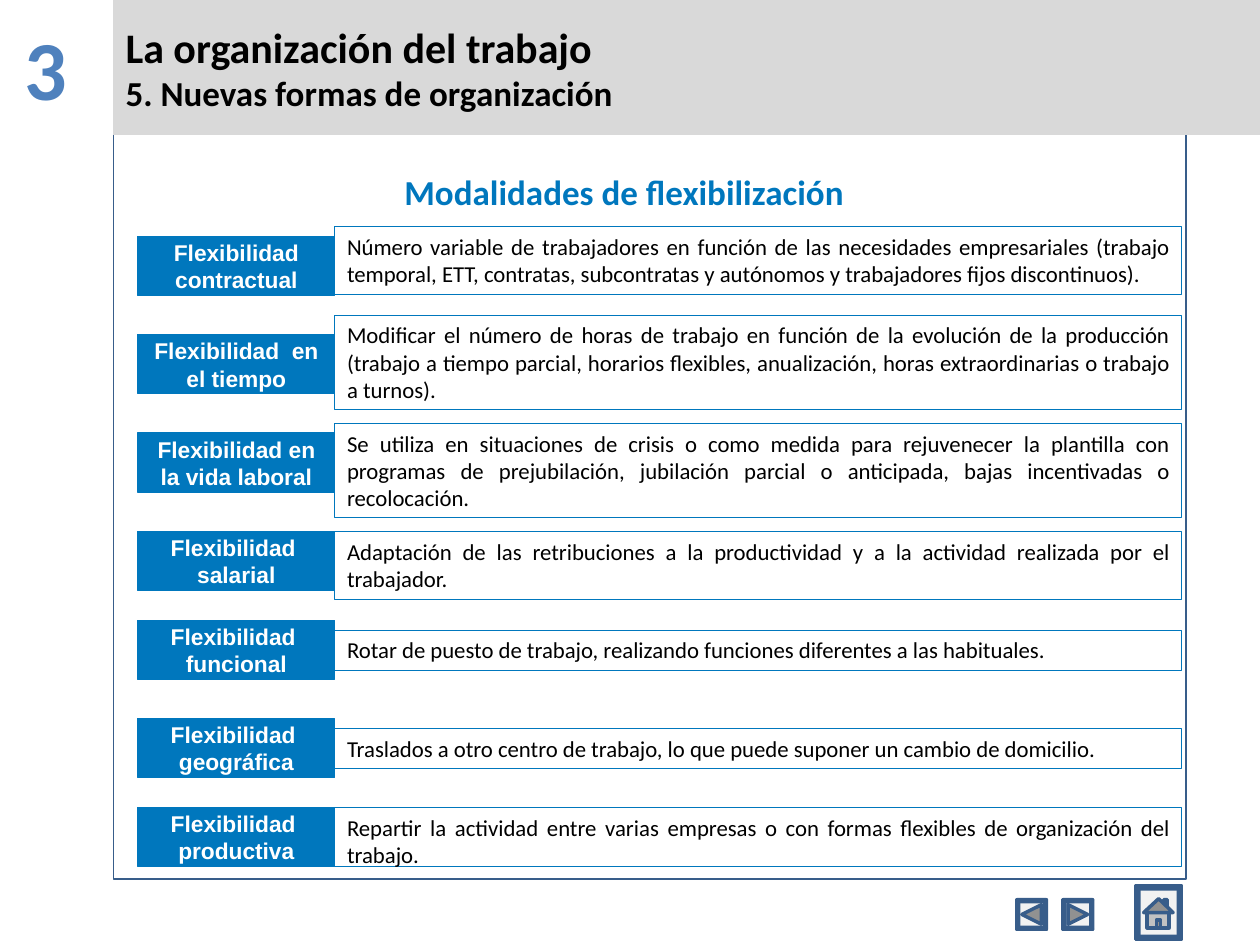
from dataclasses import dataclass
from typing import NamedTuple

from pptx import Presentation
from pptx import util as u
from pptx.dml.color import RGBColor
from pptx.enum import shapes, text

COLS, ROWS = 128, 96
CELL = 10 / COLS


@dataclass(frozen=True)
class Theme:
    blue: str = "0077BD"
    navy: str = "385D8A"
    digit: str = "4F81BD"
    band: str = "D9D9D9"
    face: str = "F2F2F2"
    mid: str = "919191"
    pale: str = "C2C2C2"
    black: str = "000000"
    white: str = "FFFFFF"
    sans: str = "Calibri"
    tag: str = "Arial"
    big: int = 48
    head: int = 24
    sub: int = 20
    body: int = 13


class Box(NamedTuple):
    """Left, top, width and height in grid cells."""
    x: float
    y: float
    w: float
    h: float


class Mode(NamedTuple):
    name: str
    row: float
    note: str
    top: float
    high: float
    just: bool = True


class Part(NamedTuple):
    """An icon outline in shares of its button."""
    fill: str
    pts: tuple


T = Theme()
ALIGN = text.PP_ALIGN
MODES = (
    Mode("Flexibilidad contractual", 24,
         "Número variable de trabajadores en función de las necesidades empresariales "
         "(trabajo temporal, ETT, contratas, subcontratas y autónomos y trabajadores "
         "fijos discontinuos).", 23, 6.9),
    Mode("Flexibilidad  en el tiempo", 34,
         "Modificar el número de horas de trabajo en función de la evolución de la "
         "producción (trabajo a tiempo parcial, horarios flexibles, anualización, horas "
         "extraordinarias o trabajo a turnos).", 32, 9.6),
    Mode("Flexibilidad en la vida laboral", 44,
         "Se utiliza en situaciones de crisis o como medida para rejuvenecer la plantilla "
         "con programas de prejubilación, jubilación parcial o anticipada, bajas "
         "incentivadas o recolocación.", 43, 9.6),
    Mode("Flexibilidad  salarial", 54,
         "Adaptación de las retribuciones a la productividad y a la actividad realizada "
         "por el trabajador.", 54, 6.9),
    Mode("Flexibilidad  funcional", 63,
         "Rotar de puesto de trabajo, realizando funciones diferentes a las habituales.",
         64, 4.1, False),
    Mode("Flexibilidad  geográfica", 73,
         "Traslados a otro centro de trabajo, lo que puede suponer un cambio de domicilio.",
         74, 4.1, False),
    Mode("Flexibilidad  productiva", 82,
         "Repartir la actividad entre varias empresas o con formas flexibles de "
         "organización del trabajo.", 82, 6),
)
BACK = (Part(T.mid, ((.17, .5), (.83, .17), (.83, .83))),)
NEXT = (Part(T.mid, ((.17, .17), (.83, .5), (.17, .83))),)
HOME = (
    Part(T.pale, ((.25, .5), (.73, .5), (.73, .79), (.25, .79))),
    Part(T.mid, ((.45, .64), (.54, .64), (.54, .79), (.45, .79))),
    Part(T.mid, ((.61, .26), (.69, .26), (.69, .4), (.61, .33))),
    Part(T.mid, ((.5, .24), (.82, .5), (.17, .5))),
)
BUTTONS = (
    (Box(103.3, 91.4, 3, 3), BACK),
    (Box(108, 91.4, 3, 3), NEXT),
    (Box(115.4, 90, 4.6, 5.4), HOME),
)


def cells(box: Box) -> list:
    return [u.Inches(v * CELL) for v in box]


def paint(shape, fill: str = "", line: str = "", width: float = .75) -> None:
    shape.shadow.inherit = False
    if fill:
        shape.fill.solid()
        shape.fill.fore_color.rgb = RGBColor.from_string(fill)
    else:
        shape.fill.background()
    if line:
        shape.line.color.rgb = RGBColor.from_string(line)
        shape.line.width = u.Pt(width)
    else:
        shape.line.fill.background()


def rect(slide, box: Box, fill: str = "", line: str = "", width: float = .75):
    shape = slide.shapes.add_shape(shapes.MSO_SHAPE.RECTANGLE, *cells(box))
    paint(shape, fill, line, width)
    return shape


def style(run, size: float, color: str, bold: bool, face: str = T.sans) -> None:
    run.font.name, run.font.size, run.font.bold = face, u.Pt(size), bold
    run.font.color.rgb = RGBColor.from_string(color)


def write(shape, words: str, sizes: tuple, color: str = T.black, bold: bool = True,
          face: str = T.sans, align=ALIGN.LEFT, pad: float = .05,
          anchor=text.MSO_ANCHOR.MIDDLE) -> None:
    """Fill a shape with text, one size for each paragraph."""
    frame = shape.text_frame
    frame.text = words
    frame.word_wrap = True
    frame.vertical_anchor = anchor
    frame.margin_left = frame.margin_right = u.Inches(.1)
    frame.margin_top = frame.margin_bottom = u.Inches(pad)
    for para, size in zip(frame.paragraphs, sizes):
        para.alignment = align
        for run in para.runs:
            style(run, size, color, bold, face)


def outline(slide, box: Box, part: Part) -> None:
    pts = [(u.Inches((box.x + px * box.w) * CELL), u.Inches((box.y + py * box.h) * CELL))
           for px, py in part.pts]
    pen = slide.shapes.build_freeform(*pts[0])
    pen.add_line_segments(pts[1:], close=True)
    paint(pen.convert_to_shape(), part.fill, T.navy, 2)


def button(slide, box: Box, icon: tuple) -> None:
    """Draw a bevelled square with an icon on it."""
    rect(slide, box, T.face, T.navy, 2)
    inset = .0625 * min(box.w, box.h)
    dx, dy = inset / box.w, inset / box.h
    rim = ((0, 0), (1, 0), (1, 1), (0, 1))
    core = ((dx, dy), (1 - dx, dy), (1 - dx, 1 - dy), (dx, 1 - dy))
    for i in range(4):
        j = (i + 1) % 4
        outline(slide, box, Part(T.face, (rim[i], rim[j], core[j], core[i])))
    for part in icon:
        outline(slide, box, part)


def mode(slide, item: Mode) -> None:
    tag = rect(slide, Box(14, item.row, 20, 6), T.blue, T.blue)
    write(tag, item.name, (T.body,), T.white, face=T.tag, align=ALIGN.CENTER, pad=0)
    note = rect(slide, Box(34, item.top, 86, item.high), line=T.blue, width=.5)
    write(note, item.note, (T.body,), bold=False, anchor=text.MSO_ANCHOR.TOP,
          align=ALIGN.JUSTIFY if item.just else ALIGN.LEFT)


def main() -> None:
    deck = Presentation()
    deck.slide_width, deck.slide_height = u.Inches(COLS * CELL), u.Inches(ROWS * CELL)
    slide = deck.slides.add_slide(deck.slide_layouts[6])

    unit = slide.shapes.add_textbox(*cells(Box(0, 0, 11.5, 12.8)))
    write(unit, "3", (T.big,), T.digit, align=ALIGN.CENTER, anchor=text.MSO_ANCHOR.TOP)
    gap = unit.text_frame.paragraphs[0].add_run()
    gap.text = " "
    style(gap, 54, T.black, True)

    rect(slide, Box(11.5, 13.7, 109, 75.6), line=T.navy)
    band = rect(slide, Box(11.5, 0, 116.5, 13.7), T.band)
    write(band, "La organización del trabajo\n5. Nuevas formas de organización",
          (T.head, T.sub))
    title = slide.shapes.add_textbox(*cells(Box(15, 16, 96.8, 7)))
    write(title, "Modalidades de flexibilización", (T.sub,), T.blue, align=ALIGN.CENTER)

    for item in MODES:
        mode(slide, item)
    for box, icon in BUTTONS:
        button(slide, box, icon)
    deck.save("out.pptx")


if __name__ == "__main__":
    main()
